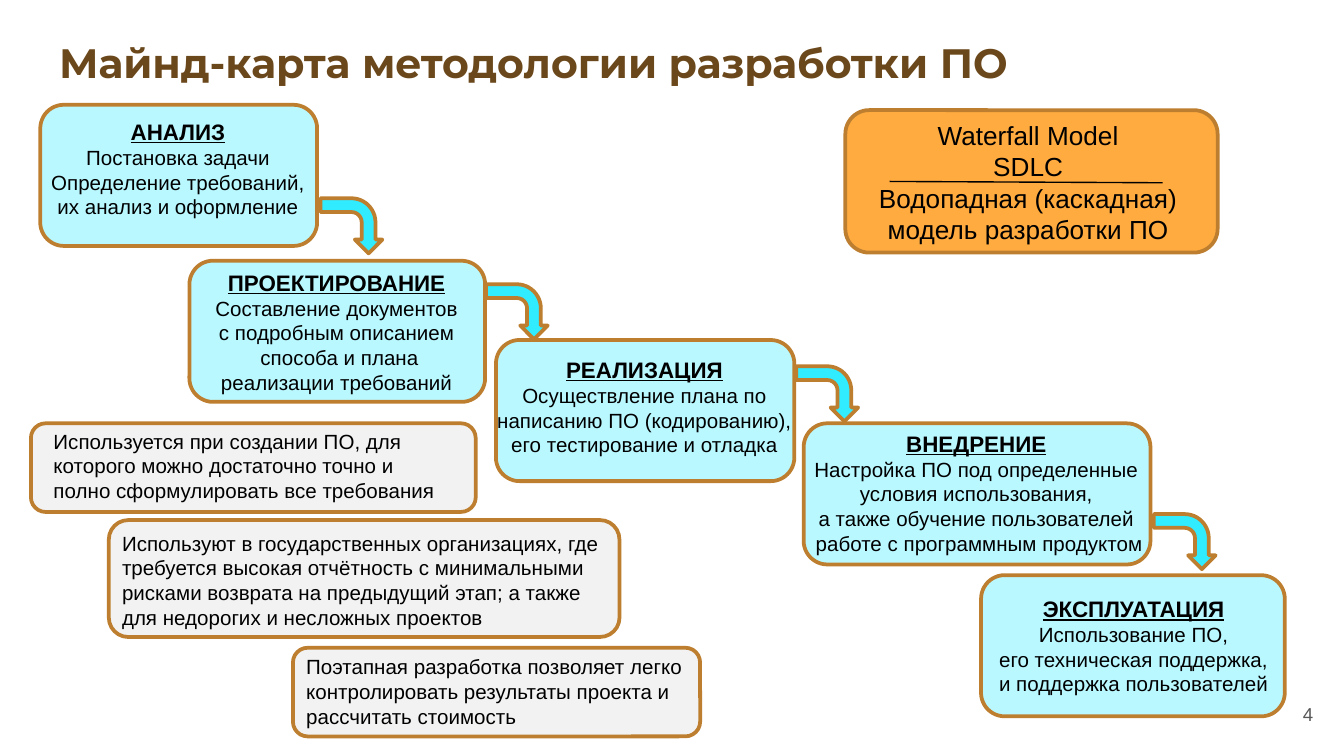
from lxml.etree import SubElement
from pptx import Presentation
from pptx.dml.color import RGBColor
from pptx.enum.shapes import MSO_CONNECTOR, MSO_SHAPE
from pptx.enum.text import MSO_ANCHOR, MSO_AUTO_SIZE, PP_ALIGN
from pptx.oxml.ns import qn
from pptx.util import Inches, Pt

BROWN = RGBColor(0x6B, 0x48, 0x1B)
BORDER = RGBColor(0xBD, 0x7F, 0x2F)
CYAN = RGBColor(0xBA, 0xF8, 0xFF)
BRIGHT_CYAN = RGBColor(0x31, 0xEB, 0xFF)
ORANGE = RGBColor(0xFF, 0xAB, 0x40)
LIGHT_GREY = RGBColor(0xF2, 0xF2, 0xF2)
GREY = RGBColor(0x58, 0x58, 0x58)
BLACK = RGBColor(0, 0, 0)

STEP_HEIGHT = 1.05
# Card left, top, width; text left, top, width, height; heading; lines
STEPS = [
    ((0.3, 0.78, 2.06), (-0.19, 0.83, 3.03, 0.86), "АНАЛИЗ",
     ["Постановка задачи", "Определение требований,", "их анализ и оформление"]),
    ((1.41, 1.94, 2.2), (0.99, 1.95, 3.03, 1.04), "ПРОЕКТИРОВАНИЕ",
     ["Составление документов", "с подробным описанием", " способа и плана",
      "реализации требований"]),
    ((3.69, 2.53, 2.22), (3.4, 2.6, 2.79, 0.86), "РЕАЛИЗАЦИЯ",
     ["Осуществление плана по", "написанию ПО (кодированию),",
      "его тестирование и отладка"]),
    ((5.98, 3.15, 2.58), (5.75, 3.15, 3.03, 1.04), "ВНЕДРЕНИЕ",
     ["Настройка ПО под определенные", " условия использования, ",
      "а также обучение пользователей", " работе с программным продуктом"]),
    ((7.3, 4.28, 2.26), (6.92, 4.38, 3.03, 0.86), "ЭКСПЛУАТАЦИЯ",
     ["Использование ПО,", "его техническая поддержка,",
      "и поддержка пользователей"]),
]
ARROW_CORNERS = [(2.41, 1.45), (3.64, 2.09), (5.95, 2.7), (8.61, 3.8)]
# Card frame, text frame, text
NOTES = [
    ((0.23, 3.15, 3.31, 0.66), (0.3, 3.14, 3.17, 0.66),
     "Используется при создании ПО, для которого можно достаточно точно и "
     "полно сформулировать все требования"),
    ((0.81, 3.87, 3.8, 0.87), (0.81, 3.9, 3.86, 0.84),
     "Используют в государственных организациях, где\n"
     "требуется высокая отчётность с минимальными рисками возврата на "
     "предыдущий этап; а также для недорогих и несложных проектов"),
    ((2.18, 4.82, 3.03, 0.66), (2.18, 4.82, 3.03, 0.66),
     "Поэтапная разработка позволяет легко контролировать результаты проекта "
     "и рассчитать стоимость"),
]


def inches(frame):
    return [Inches(length) for length in frame]


def add_outlined(page, kind, frame, fill):
    shape = page.shapes.add_shape(kind, *inches(frame))
    shape.shadow.inherit = False
    shape.fill.solid()
    shape.fill.fore_color.rgb = fill
    shape.line.color.rgb = BORDER
    shape.line.width = Pt(2)
    return shape


def add_span(para, text, size, color=BLACK, name="Arial", heading=False):
    span = para.add_run()
    span.text = text
    span.font.name = name
    span.font.size = Pt(size)
    span.font.color.rgb = color
    span.font.bold = span.font.underline = heading


def add_text(page, frame, lines, size, align=PP_ALIGN.LEFT, color=BLACK, heading=None):
    """One paragraph per line; a newline inside a line is a soft break."""
    box = page.shapes.add_textbox(*inches(frame))
    text_frame = box.text_frame
    text_frame.word_wrap = True
    text_frame.auto_size = MSO_AUTO_SIZE.SHAPE_TO_FIT_TEXT
    entries = [(line, size, False) for line in lines]
    if heading:
        entries.insert(0, (heading, size + 1, True))
    for index, (line, points, is_heading) in enumerate(entries):
        para = text_frame.add_paragraph() if index else text_frame.paragraphs[0]
        para.alignment = align
        for part_index, part in enumerate(line.split("\n")):
            if part_index:
                para.add_line_break()
            add_span(para, part, points, color, heading=is_heading)
    return box


def set_title(page, text):
    title = page.shapes.title
    title.left, title.top, title.width, title.height = inches((0.34, 0.15, 9.32, 0.63))
    text_frame = title.text_frame
    text_frame.auto_size = MSO_AUTO_SIZE.NONE
    text_frame.vertical_anchor = MSO_ANCHOR.MIDDLE
    para = text_frame.paragraphs[0]
    para.alignment = PP_ALIGN.LEFT
    add_span(para, text, 22, BROWN, "Montserrat")
    para.runs[0].font.bold = True


def add_model(page):
    add_outlined(page, MSO_SHAPE.ROUNDED_RECTANGLE, (6.29, 0.82, 2.77, 1.06), ORANGE)
    add_text(page, (5.98, 0.84, 3.34, 1.04),
             ["Waterfall Model", "SDLC", "Водопадная (каскадная)\nмодель разработки ПО"],
             14, PP_ALIGN.CENTER)
    divider = page.shapes.add_connector(
        MSO_CONNECTOR.STRAIGHT, *inches((6.62, 1.35, 8.65, 1.36)))
    divider.line.color.rgb = BLACK
    divider.line.width = Pt(0.75)
    SubElement(divider._element.spPr, qn("a:effectLst"))


def add_step(page, corner_and_width, text_frame, heading, lines):
    add_outlined(page, MSO_SHAPE.ROUNDED_RECTANGLE,
                 (*corner_and_width, STEP_HEIGHT), CYAN)
    add_text(page, text_frame, lines, 11, PP_ALIGN.CENTER, heading=heading)


def add_note(page, frame, text_frame, text):
    add_outlined(page, MSO_SHAPE.ROUNDED_RECTANGLE, frame, LIGHT_GREY)
    add_text(page, text_frame, [text], 11)


def add_arrow(page, corner):
    arrow = add_outlined(page, MSO_SHAPE.BENT_ARROW, (*corner, 0.41, 0.46), BRIGHT_CYAN)
    arrow.rotation = 90


def add_page_number(page, number):
    box = add_text(page, (9.5, 5.14, 0.37, 0.35), [number], 10, PP_ALIGN.RIGHT, GREY)
    box.text_frame.auto_size = MSO_AUTO_SIZE.NONE
    box.text_frame.vertical_anchor = MSO_ANCHOR.MIDDLE


def main():
    deck = Presentation()
    deck.slide_width = Inches(10)
    deck.slide_height = deck.slide_width * 9 // 16
    page = deck.slides.add_slide(deck.slide_layouts[5])
    set_title(page, "Майнд-карта методологии разработки ПО")
    add_page_number(page, "4")
    add_model(page)
    for step in STEPS:
        add_step(page, *step)
    for note in NOTES:
        add_note(page, *note)
    for corner in ARROW_CORNERS:
        add_arrow(page, corner)
    deck.save("out.pptx")


if __name__ == "__main__":
    main()
